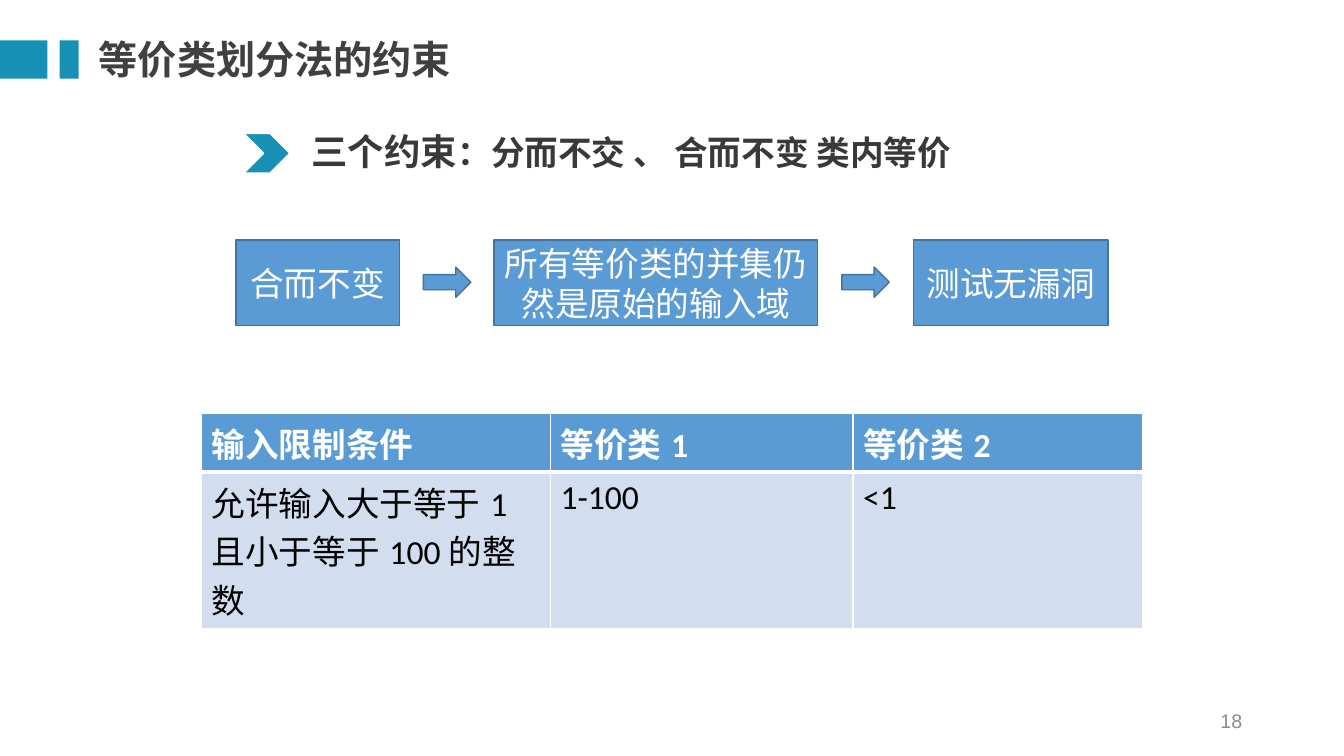
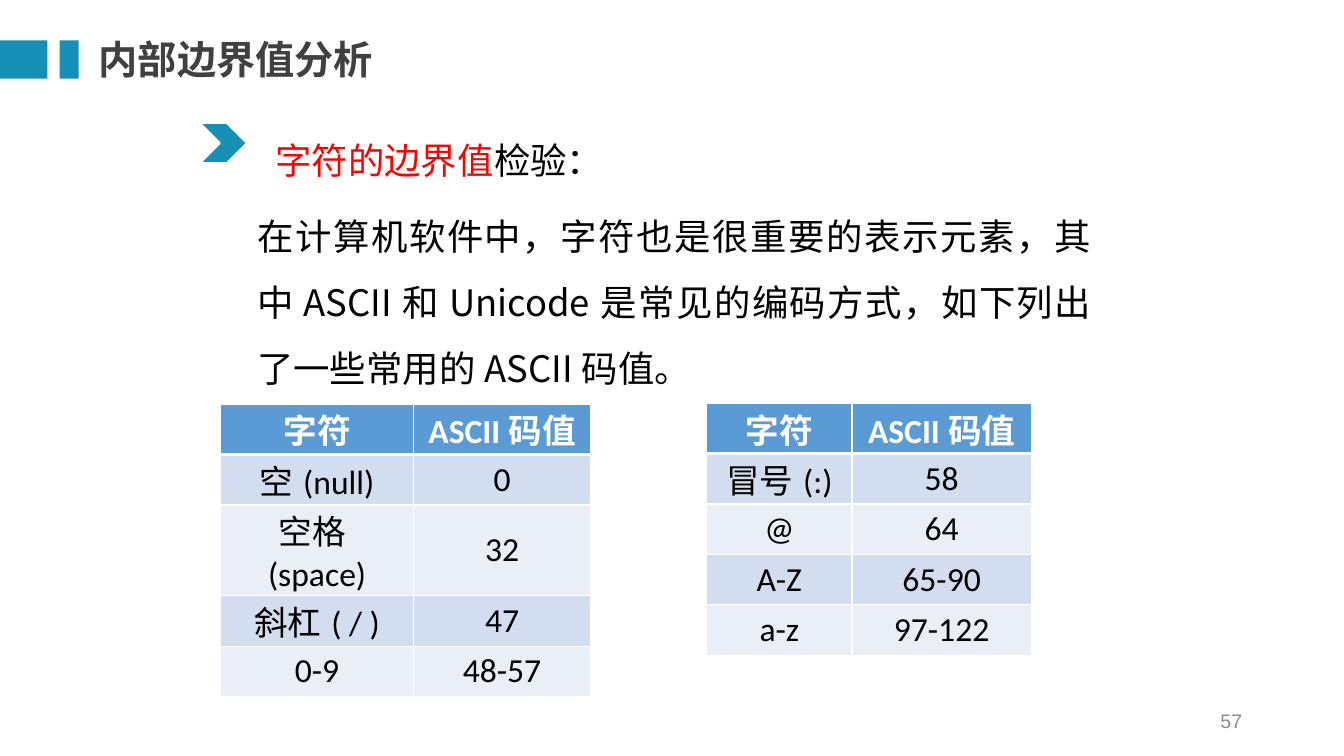
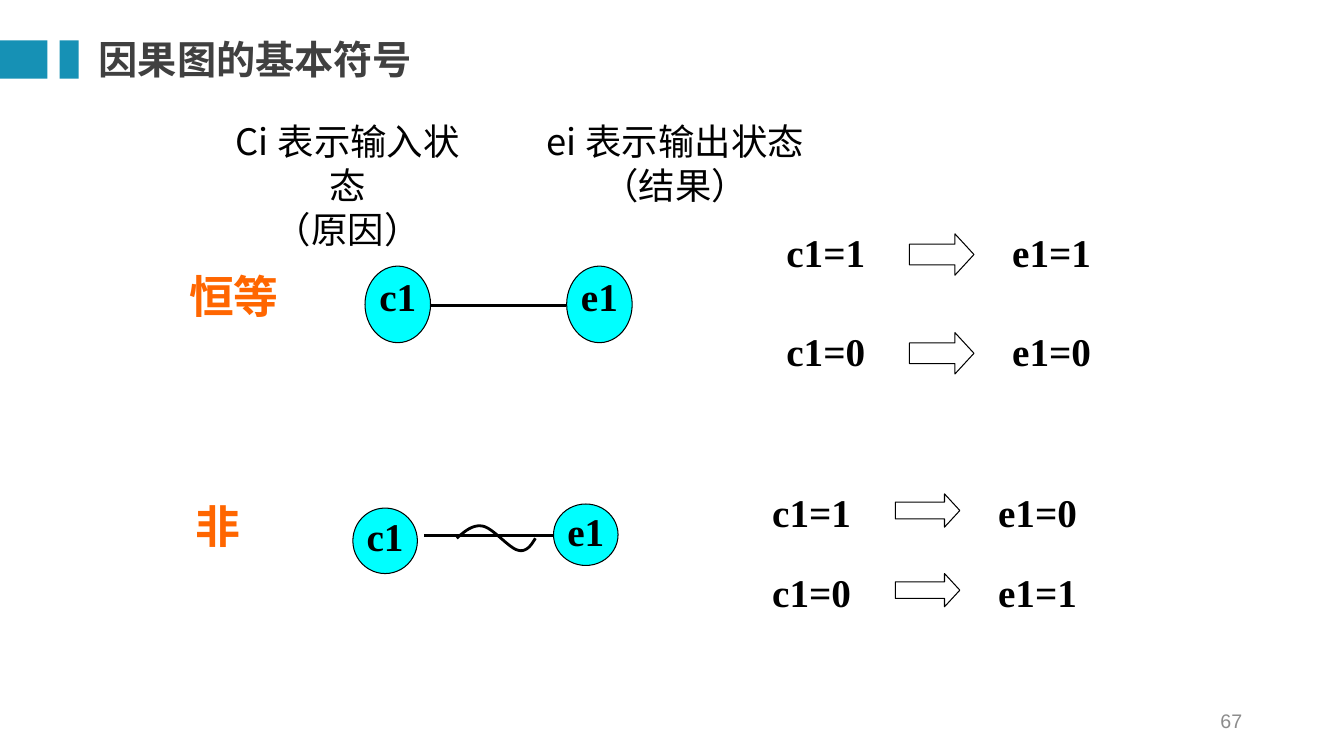
import dataclasses
from typing import Optional

import lxml.etree
import pptx
import pptx.dml.color
import pptx.enum.shapes
import pptx.enum.text
import pptx.oxml.ns
import pptx.util

Inches = pptx.util.Inches
Pt = pptx.util.Pt
Kind = pptx.enum.shapes.MSO_SHAPE
Align = pptx.enum.text.PP_ALIGN
Anchor = pptx.enum.text.MSO_ANCHOR
Box = tuple[float, float, float, float]
qn = pptx.oxml.ns.qn


@dataclasses.dataclass(frozen=True)
class Theme:
    teal: str = "1691B5"
    blue: str = "5B9BD5"
    edge: str = "43739E"
    band: str = "D2DEEF"
    pale: str = "EAEFF7"
    white: str = "FFFFFF"
    black: str = "000000"
    cyan: str = "00FFFF"
    red: str = "FF0000"
    orange: str = "FF6600"
    dark: str = "404040"
    soft: str = "3B3838"
    gray: str = "8C8C8C"
    han: str = "Noto Sans CJK SC"
    sans: str = "Calibri"
    serif: str = "Times New Roman"
    plain: str = "Arial"
    small: int = 14
    base: int = 24
    large: int = 26
    head: int = 28
    huge: int = 32


T = Theme()


@dataclasses.dataclass(frozen=True)
class Look:
    size: int
    color: str
    font: str
    bold: bool = False
    align: Align = Align.LEFT
    lead: Optional[float | pptx.util.Length] = None


@dataclasses.dataclass(frozen=True)
class Grid:
    left: float
    top: float
    cols: list[float]
    rows: list[float]
    cells: list[list[str]]
    align: Align
    anchor: Anchor
    pad: float


@dataclasses.dataclass(frozen=True)
class Fact:
    left: float
    top: float
    cause: str
    effect: str


TITLE = Look(T.head, T.dark, T.han, True)
PAGE = Look(T.small, T.gray, T.plain, align=Align.RIGHT)
STEP = Look(T.base, T.white, T.sans, align=Align.CENTER, lead=Pt(29))
POINT = Look(T.large, T.soft, T.sans, True)
PROSE = Look(T.large, T.black, T.han, align=Align.JUSTIFY, lead=Pt(47))
LABEL = Look(T.large, T.black, T.han, align=Align.CENTER, lead=Pt(31.5))
NODE = Look(T.head, T.black, T.serif, True, Align.CENTER, 0.9)
NAME = Look(T.huge, T.orange, T.serif, True, Align.CENTER, Pt(37))


def rgb(code: str) -> pptx.dml.color.RGBColor:
    return pptx.dml.color.RGBColor.from_string(code)


def style(para, look: Look, before: float = 0) -> None:
    para.alignment = look.align
    para.space_before = Pt(before)
    if look.lead is not None:
        para.line_spacing = look.lead
    font = para.font
    font.size = Pt(look.size)
    font.bold = look.bold
    font.color.rgb = rgb(look.color)
    font.name = look.font
    face = lxml.etree.SubElement(para._p.pPr.find(qn("a:defRPr")), qn("a:ea"))
    face.set("typeface", T.han)


def frame(shape, anchor: Anchor, pad: Optional[float] = None):
    text = shape.text_frame
    text.word_wrap = True
    text.auto_size = pptx.enum.text.MSO_AUTO_SIZE.NONE
    text.vertical_anchor = anchor
    if pad is not None:
        text.margin_left = text.margin_right = Inches(pad)
        text.margin_top = text.margin_bottom = Inches(pad)
    return text


def write(text, lines: list[str], look: Look) -> None:
    for i, line in enumerate(lines):
        para = text.paragraphs[0] if i == 0 else text.add_paragraph()
        para.text = line
        style(para, look)


def place(shape, box: Box) -> None:
    shape.left, shape.top, shape.width, shape.height = map(Inches, box)


def draw(slide, kind: Kind, box: Box, fill: str, line: Optional[str] = None, width: float = 1):
    shape = slide.shapes.add_shape(kind, *map(Inches, box))
    shape.shadow.inherit = False
    shape.fill.solid()
    shape.fill.fore_color.rgb = rgb(fill)
    if line:
        shape.line.color.rgb = rgb(line)
        shape.line.width = Pt(width)
    else:
        shape.line.fill.background()
    return shape


def note(slide, box: Box, lines: list[str], look: Look, anchor: Anchor = Anchor.TOP) -> None:
    shape = slide.shapes.add_textbox(*map(Inches, box))
    write(frame(shape, anchor), lines, look)


def start(deck, layout: int, title: str, page: int):
    slide = deck.slides.add_slide(deck.slide_layouts[layout])
    for left, width in ((0, 0.47), (0.59, 0.19)):
        draw(slide, Kind.RECTANGLE, (left, 0.4, width, 0.38), T.teal)
    head = slide.shapes.title
    place(head, (0.98, 0.31, 8.07, 0.55))
    write(frame(head, Anchor.MIDDLE, 0), [title], TITLE)
    note(slide, (9.42, 6.95, 3, 0.4), [str(page)], PAGE, Anchor.MIDDLE)
    return slide


def body(slide, box: Box):
    shape = slide.placeholders[1]
    place(shape, box)
    return frame(shape, Anchor.TOP)


def fill(para, runs: list[str], look: Look, inset: float = 0, before: float = 0):
    prop = para._p.get_or_add_pPr()
    prop.set("marL", str(Inches(inset)))
    prop.set("indent", "0")
    lxml.etree.SubElement(prop, qn("a:buNone"))
    style(para, look, before)
    made = [para.add_run() for _ in runs]
    for run, words in zip(made, runs):
        run.text = words
    return made


def mark(slide, left: float, top: float) -> None:
    draw(slide, Kind.CHEVRON, (left, top, 0.47, 0.4), T.teal, T.white, 1.5)


def edges(cell, low: float) -> None:
    prop = cell._tc.get_or_add_tcPr()
    for i, (side, width) in enumerate((("L", 1), ("R", 1), ("T", 1), ("B", low))):
        line = lxml.etree.Element(qn(f"a:ln{side}"), w=str(Pt(width)))
        paint = lxml.etree.SubElement(line, qn("a:solidFill"))
        lxml.etree.SubElement(paint, qn("a:srgbClr")).set("val", T.white)
        prop.insert(i, line)


def table(slide, grid: Grid) -> None:
    size = (len(grid.rows), len(grid.cols))
    area = (grid.left, grid.top, sum(grid.cols), sum(grid.rows))
    made = slide.shapes.add_table(*size, *map(Inches, area)).table
    made.horz_banding = False
    for col, width in zip(made.columns, grid.cols):
        col.width = Inches(width)
    for r, (row, height) in enumerate(zip(made.rows, grid.rows)):
        row.height = Inches(height)
        top = r == 0
        look = Look(T.base, T.white if top else T.black, T.sans, top, grid.align)
        shade = T.blue if top else (T.pale, T.band)[r % 2]
        for cell, words in zip(row.cells, grid.cells[r]):
            cell.fill.solid()
            cell.fill.fore_color.rgb = rgb(shade)
            edges(cell, 3 if top else 1)
            cell.vertical_anchor = grid.anchor
            cell.margin_top = cell.margin_bottom = Inches(grid.pad)
            write(cell.text_frame, [words], look)


def link(slide, left: float, right: float, y: float) -> None:
    kind = pptx.enum.shapes.MSO_CONNECTOR.STRAIGHT
    line = slide.shapes.add_connector(kind, *map(Inches, (left, y, right, y)))
    line.line.color.rgb = rgb(T.black)
    line.line.width = Pt(2)
    lxml.etree.SubElement(line._element.spPr, qn("a:effectLst"))


def tag(slide, box: Box, words: str, look: Look = NODE) -> None:
    shape = draw(slide, Kind.RECTANGLE, box, T.white)
    write(frame(shape, Anchor.TOP, 0), [words], look)


def node(slide, box: Box, words: str) -> None:
    shape = draw(slide, Kind.OVAL, box, T.cyan, T.black, 0.75)
    write(frame(shape, Anchor.TOP, 0), [words], NODE)


def fact(slide, item: Fact, tall: float, high: float) -> None:
    tag(slide, (item.left, item.top, 1.28, tall), item.cause)
    tag(slide, (item.left + 2.24, item.top, 1.28, tall), item.effect)
    box = (item.left + 1.47, item.top, 0.64, high)
    arrow = draw(slide, Kind.RIGHT_ARROW, box, T.white, T.black, 0.75)
    arrow.adjustments[1] = 0.46


def wave(slide) -> None:
    knots = [
        ((4.53, 5.34), (4.61, 5.27), (4.69, 5.2), (4.79, 5.22)),
        ((4.79, 5.22), (4.89, 5.24), (5.05, 5.44), (5.14, 5.46)),
        ((5.14, 5.46), (5.22, 5.48), (5.27, 5.41), (5.31, 5.34)),
    ]
    steps = 12
    dots = []
    for a, b, c, d in knots:
        for i in range(1, steps + 1):
            t = i / steps
            u = 1 - t
            mix = (u**3, 3 * u * u * t, 3 * u * t * t, t**3)
            dots.append(tuple(
                Inches(sum(m * p[k] for m, p in zip(mix, (a, b, c, d))))
                for k in (0, 1)
            ))
    path = slide.shapes.build_freeform(*map(Inches, knots[0][0]), scale=1.0)
    path.add_line_segments(dots, close=False)
    shape = path.convert_to_shape()
    shape.shadow.inherit = False
    shape.fill.background()
    shape.line.color.rgb = rgb(T.black)
    shape.line.width = Pt(2)


def rules(deck) -> None:
    slide = start(deck, 1, "等价类划分法的约束", 18)
    steps = [
        (2.34, 1.62, "合而不变"),
        (4.9, 3.21, "所有等价类的并集仍然是原始的输入域"),
        (9.06, 1.93, "测试无漏洞"),
    ]
    for left, width, words in steps:
        shape = draw(slide, Kind.RECTANGLE, (left, 2.38, width, 0.85), T.blue, T.edge)
        text = frame(shape, Anchor.MIDDLE)
        write(text, [words], STEP)
    for left, width, _ in steps[:-1]:
        box = (left + width + 0.24, 2.65, 0.47, 0.3)
        draw(slide, Kind.RIGHT_ARROW, box, T.blue, T.edge)
    table(slide, Grid(
        2, 4.1, [3.46, 3, 2.87], [0.56, 1.53],
        [["输入限制条件", "等价类1", "等价类2"],
         ["允许输入大于等于1且小于等于100的整数", "1-100", "<1"]],
        Align.LEFT, Anchor.TOP, 0.05,
    ))
    mark(slide, 2.41, 1.32)
    text = body(slide, (2.99, 1.23, 7.2, 0.54))
    words = ["三个约束", "：分而不交 、 合而不变 类内等价"]
    runs = fill(text.paragraphs[0], words, POINT)
    runs[1].font.size = Pt(T.base)


def bounds(deck) -> None:
    slide = start(deck, 1, "内部边界值分析", 57)
    mark(slide, 1.98, 1.22)
    text = body(slide, (2.45, 1.1, 8.48, 2.8))
    runs = fill(text.paragraphs[0], ["字符的边界值", "检验："], PROSE, inset=0.18)
    runs[0].font.color.rgb = rgb(T.red)
    words = "在计算机软件中，字符也是很重要的表示元素，其中ASCII和Unicode是常见的编码方式，如下列出了一些常用的ASCII码值。"
    fill(text.add_paragraph(), [words], PROSE, before=7.5)
    head = ["字符", "ASCII码值"]
    table(slide, Grid(
        2.19, 4.01, [1.91, 1.76], [0.5, 0.5, 0.9, 0.5, 0.5],
        [head, ["空(null)", "0"], ["空格(space)", "32"], ["斜杠( / )", "47"], ["0-9", "48-57"]],
        Align.CENTER, Anchor.MIDDLE, 0,
    ))
    table(slide, Grid(
        7.01, 4, [1.44, 1.78], [0.5] * 5,
        [head, ["冒号(:)", "58"], ["@", "64"], ["A-Z", "65-90"], ["a-z", "97-122"]],
        Align.CENTER, Anchor.MIDDLE, 0,
    ))


def signs(deck) -> None:
    slide = start(deck, 5, "因果图的基本符号", 67)
    tag(slide, (1.77, 2.69, 1.1, 0.82), "恒等", NAME)
    node(slide, (3.62, 2.64, 0.65, 0.76), "c1")
    node(slide, (5.62, 2.64, 0.65, 0.76), "e1")
    link(slide, 4.27, 5.61, 3.03)
    for item in (Fact(7.55, 2.32, "c1=1", "e1=1"), Fact(7.55, 3.3, "c1=0", "e1=0")):
        fact(slide, item, 0.82, 0.41)
    tag(slide, (1.52, 4.97, 1.28, 0.65), "非", NAME)
    node(slide, (3.5, 5.04, 0.64, 0.65), "c1")
    node(slide, (5.49, 5, 0.64, 0.61), "e1")
    link(slide, 4.21, 5.49, 5.31)
    for item in (Fact(7.41, 4.9, "c1=1", "e1=0"), Fact(7.41, 5.69, "c1=0", "e1=1")):
        fact(slide, item, 0.65, 0.33)
    wave(slide)
    note(slide, (2.1, 1.13, 2.7, 1.4), ["Ci表示输入状态", "（原因）"], LABEL)
    note(slide, (5.25, 1.13, 2.9, 0.97), ["ei表示输出状态", "（结果）"], LABEL)


def main() -> None:
    deck = pptx.Presentation()
    deck.slide_width = Inches(13.33)
    deck.slide_height = Inches(7.5)
    rules(deck)
    bounds(deck)
    signs(deck)
    deck.save("out.pptx")


if __name__ == "__main__":
    main()
